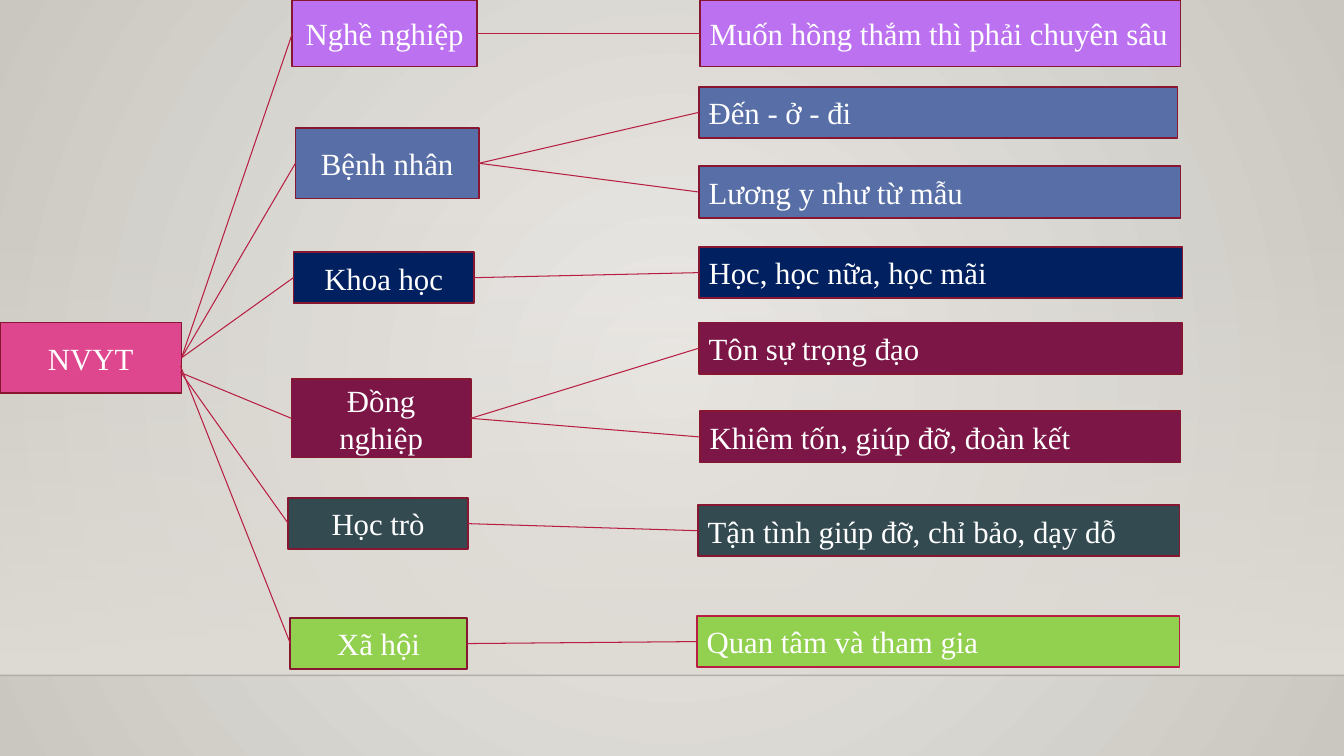
from dataclasses import dataclass

from lxml import etree
from pptx import Presentation
from pptx.dml.color import RGBColor
from pptx.enum.shapes import MSO_CONNECTOR as CONN, MSO_SHAPE as SHAPE
from pptx.enum.text import MSO_ANCHOR as ANCHOR, PP_ALIGN as ALIGN
from pptx.oxml.ns import qn
from pptx.util import Inches, Pt


@dataclass(frozen=True)
class Theme:
    """Colours, font and sizes of the slide."""
    font: str = "Times New Roman"
    size: float = 22
    text: str = "FFFFFF"
    border: str = "871631"
    link: str = "B71E42"
    root: str = "DE478E"
    job: str = "BC72F0"
    patient: str = "586EA6"
    science: str = "002060"
    colleague: str = "7C1646"
    student: str = "334A51"
    society: str = "92D050"
    glow: str = "ECEAE7"
    edge: str = "CAC7C1"
    wall: str = "DFDBD5"
    floor_line: str = "000001"
    border_width: float = 1.25
    link_width: float = 0.75


THEME = Theme()
WIDTH, HEIGHT, FLOOR = 13.33, 7.5, 6.7
RIGHT, LEFT = 3, 1

ROOT = ("NVYT", (0, 3.2, 1.8, 0.7))
BRANCHES = [
    ("Nghề nghiệp", THEME.job, (2.9, 0, 1.83, 0.66), None,
     [("Muốn hồng thắm thì phải chuyên sâu", (6.94, 0, 4.77, 0.66))]),
    ("Bệnh nhân", THEME.patient, (2.93, 1.27, 1.82, 0.7), None,
     [("Đến - ở - đi", (6.93, 0.86, 4.75, 0.51)),
      ("Lương y như từ mẫu", (6.93, 1.65, 4.78, 0.51))]),
    ("Khoa học", THEME.science, (2.91, 2.5, 1.79, 0.51), None,
     [("Học, học nữa, học mãi", (6.93, 2.45, 4.8, 0.51))]),
    ("Đồng nghiệp", THEME.colleague, (2.89, 3.76, 1.78, 0.78), (1.8, 3.7),
     [("Tôn sự trọng đạo", (6.93, 3.2, 4.79, 0.51)),
      ("Khiêm tốn, giúp đỡ, đoàn kết", (6.94, 4.08, 4.77, 0.51))]),
    ("Học trò", THEME.student, (2.86, 4.94, 1.78, 0.51), (1.79, 3.69),
     [("Tận tình giúp đỡ, chỉ bảo, dạy dỗ", (6.92, 5.01, 4.78, 0.51))]),
    ("Xã hội", THEME.society, (2.88, 6.13, 1.75, 0.51), (1.79, 3.63),
     [("Quan tâm và tham gia", (6.91, 6.11, 4.79, 0.51))]),
]


def rgb(color):
    """Turn a hex string into a colour."""
    return RGBColor.from_string(color)


def set_alpha(color_parent, percent):
    """Give the colour inside an element an opacity."""
    color = color_parent.find(".//" + qn("a:srgbClr"))
    etree.SubElement(color, qn("a:alpha")).set("val", str(percent * 1000))


def set_gradient(fill, owner, start, end):
    """Set a two-stop gradient and return its element inside the owner."""
    fill.gradient()
    for stop, color, position in zip(fill.gradient_stops, (start, end), (0, 1)):
        stop.color.rgb = rgb(color)
        stop.position = position
    return owner.find(".//" + qn("a:gradFill"))


def write_text(sp, text, align=ALIGN.LEFT, size=THEME.size, color=THEME.text):
    """Write formatted text, centred vertically, into a shape."""
    tf = sp.text_frame
    tf.word_wrap = True
    tf.vertical_anchor = ANCHOR.MIDDLE
    p = tf.paragraphs[0]
    p.alignment = align
    r = p.add_run()
    r.text = text
    r.font.name = THEME.font
    r.font.size = Pt(size)
    r.font.color.rgb = rgb(color)


def add_box(s, box, text, fill, align=ALIGN.CENTER, border=THEME.border):
    """Add a bordered rectangle with text."""
    sp = s.shapes.add_shape(SHAPE.RECTANGLE, *map(Inches, box))
    sp.shadow.inherit = False
    sp.fill.solid()
    sp.fill.fore_color.rgb = rgb(fill)
    sp.line.color.rgb = rgb(border)
    sp.line.width = Pt(THEME.border_width)
    write_text(sp, text, align=align)
    return sp


def add_line(s, start, end, color=THEME.link, width=THEME.link_width):
    """Add a straight line without a shadow."""
    line = s.shapes.add_connector(CONN.STRAIGHT, *map(Inches, (*start, *end)))
    line.line.color.rgb = rgb(color)
    line.line.width = Pt(width)
    etree.SubElement(line.element.spPr, qn("a:effectLst"))
    return line


def add_backdrop(s, box):
    """Add the radial background, the fading wall and the floor line."""
    x, y, w, floor = box
    grad = set_gradient(s.background.fill, s.element, THEME.glow, THEME.edge)
    grad.remove(grad.find(qn("a:lin")))
    radial = etree.SubElement(grad, qn("a:path"), path="circle")
    etree.SubElement(radial, qn("a:fillToRect"),
                     {side: "50000" for side in "ltrb"})

    top = y + 2.21
    wall = s.shapes.add_shape(SHAPE.RECTANGLE,
                              *map(Inches, (x, top, w, floor - top)))
    wall.shadow.inherit = False
    wall.line.fill.background()
    grad = set_gradient(wall.fill, wall.element, THEME.wall, THEME.wall)
    grad.find(qn("a:lin")).set("ang", "5400000")
    set_alpha(grad, 0)

    line = add_line(s, (x, floor), (x + w, floor), THEME.floor_line, 1)
    set_alpha(line.element.spPr, 20)


def add_branch(s, root, branch):
    """Add a topic with its mottoes and join them to the root."""
    name, color, box, root_end, mottoes = branch
    topic = add_box(s, box, name, color)
    link = add_line(s, box[:2], root_end or (0, 0))
    link.begin_connect(topic, LEFT)
    if root_end is None:
        link.end_connect(root, RIGHT)
    border = THEME.link if color == THEME.society else THEME.border
    for text, motto_box in mottoes:
        motto = add_box(s, motto_box, text, color, ALIGN.LEFT, border)
        link = add_line(s, box[:2], motto_box[:2])
        link.begin_connect(topic, RIGHT)
        link.end_connect(motto, LEFT)


def main():
    """Build the mind map slide and save it."""
    prs = Presentation()
    prs.slide_width, prs.slide_height = Inches(WIDTH), Inches(HEIGHT)
    s = prs.slides.add_slide(prs.slide_layouts[6])
    add_backdrop(s, (0, 0, WIDTH, FLOOR))
    text, box = ROOT
    root = add_box(s, box, text, THEME.root)
    for branch in BRANCHES:
        add_branch(s, root, branch)
    prs.save("out.pptx")


if __name__ == "__main__":
    main()
